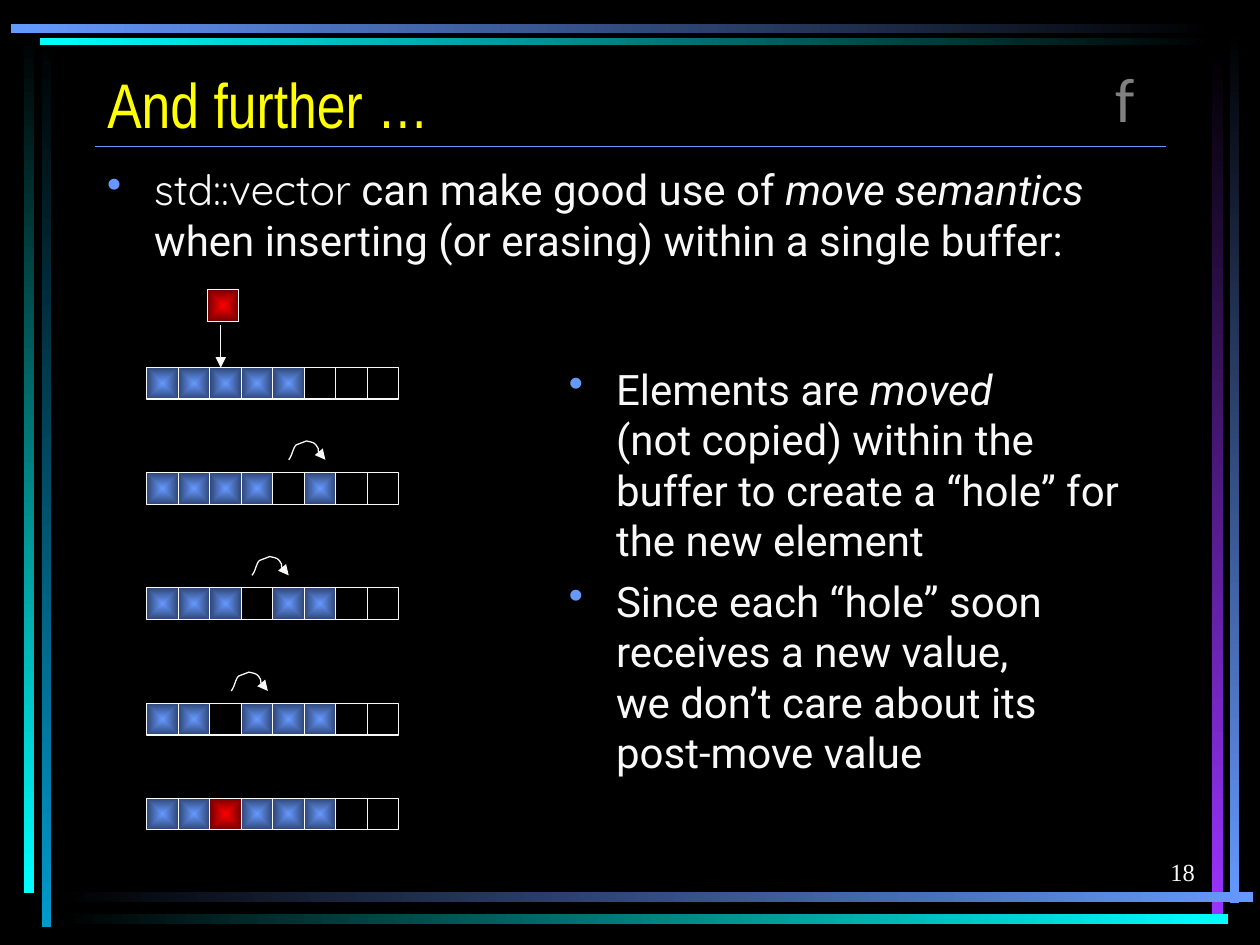
from lxml.etree import SubElement
from pptx import Presentation
from pptx.dml.color import RGBColor
from pptx.enum.shapes import MSO_CONNECTOR, MSO_SHAPE
from pptx.enum.text import MSO_ANCHOR as ANCHOR, MSO_AUTO_SIZE as AUTO_SIZE, PP_ALIGN as ALIGN
from pptx.oxml.ns import qn
from pptx.util import Cm, Pt

COLORS = {
    "black": "000000", "text": "F8F8F8", "title": "FFFF00", "mark": "808080",
    "blue": "6699FF", "navy": "2F4675", "red": "FF0000", "maroon": "750000",
    "cyan": "00FFFF", "teal": "0099CC", "purple": "9933FF",
}

# Gradient directions, counter-clockwise in degrees
RIGHTWARD, LEFTWARD, DOWNWARD = 0, 180, 270

# Frame bars: left, top, width, height, bright colour, direction of the bright end
FRAME_BARS = [
    (0.84, 0.71, 0.2, 17.98, "teal", DOWNWARD),
    (0.48, 0.64, 0.2, 17.37, "cyan", DOWNWARD),
    (24.79, 0.61, 0.18, 17.6, "blue", DOWNWARD),
    (24.43, 1.07, 0.23, 17.35, "purple", DOWNWARD),
    (1.14, 17.98, 24.13, 0.2, "blue", RIGHTWARD),
    (1.14, 18.42, 23.62, 0.2, "cyan", RIGHTWARD),
    (0.81, 0.76, 23.67, 0.15, "cyan", LEFTWARD),
    (0.22, 0.48, 24.28, 0.18, "blue", LEFTWARD),
]

# Buffer rows: top and cells (x = element, n = new element, . = empty)
BUFFER_LEFT, CELL = 2.96, 5.08 / 8
BUFFER_ROWS = [
    (7.41, "xxxxx..."),
    (9.53, "xxxx.x.."),
    (11.85, "xxx.xx.."),
    (14.18, "xx.xxx.."),
    (16.09, "xxnxxx.."),
]
CELL_FILLS = {"x": ("blue", "navy"), "n": ("red", "maroon"), ".": None}

# Hop arrow: start, then Bézier segments, relative to its top-left corner
HOPS = [(5.82, 8.89), (5.08, 11.22), (4.66, 13.55)]
HOP_START = (0, 0.38)
HOP_CURVES = [
    ((0.08, 0.28), (0.08, 0.15), (0.15, 0.08)),
    ((0.15, 0.08), (0.36, 0), (0.36, 0)),
    ((0.48, 0.03), (0.53, 0.03), (0.58, 0.13)),
    ((0.61, 0.15), (0.58, 0.2), (0.61, 0.23)),
    ((0.76, 0.38), (0.74, 0.2), (0.74, 0.38)),
]


def rgb(name):
    return RGBColor.from_string(COLORS[name])


def curve_points(start, curves, steps=8):
    """Points along a chain of cubic Bézier curves, without the start."""
    points = []
    for control_1, control_2, end in curves:
        for step in range(1, steps + 1):
            t = step / steps
            weights = ((1 - t) ** 3, 3 * t * (1 - t) ** 2, 3 * t * t * (1 - t), t ** 3)
            corners = (start, control_1, control_2, end)
            points.append(tuple(sum(w * c[axis] for w, c in zip(weights, corners))
                                for axis in (0, 1)))
        start = end
    return points


class SlideBuilder:
    def __init__(self, slide, line_width=0.75):
        self.slide = slide
        self.shapes = slide.shapes
        self.line_width = Pt(line_width)
        slide.background.fill.solid()
        slide.background.fill.fore_color.rgb = rgb("black")

    def style_line(self, shape, color="text", arrow=False):
        shape.line.color.rgb = rgb(color)
        shape.line.width = self.line_width
        if arrow:
            SubElement(shape.line._get_or_add_ln(), qn("a:tailEnd"), type="triangle")

    def style_font(self, font, name, size, color):
        font.name, font.size, font.color.rgb = name, Pt(size), rgb(color)

    def rectangle(self, left, top, width, height, colors=None, angle=None):
        """Rectangle with a linear gradient, or one from the centre without an angle."""
        rect = self.shapes.add_shape(MSO_SHAPE.RECTANGLE, Cm(left), Cm(top), Cm(width), Cm(height))
        rect.shadow.inherit = False
        if colors is None:
            rect.fill.background()
            return rect
        rect.fill.gradient()
        for stop, color in zip(rect.fill.gradient_stops, colors):
            stop.color.rgb = rgb(color)
        if angle is not None:
            rect.fill.gradient_angle = angle
        else:
            gradient = rect.fill._xPr.find(qn("a:gradFill"))
            gradient.remove(gradient.find(qn("a:lin")))
            center = SubElement(gradient, qn("a:path"), path="rect")
            SubElement(center, qn("a:fillToRect"), l="50000", t="50000", r="50000", b="50000")
        return rect

    def bar(self, left, top, width, height, color, angle):
        bar = self.rectangle(left, top, width, height, ("black", color), angle)
        bar.line.fill.background()

    def cell(self, left, top, kind):
        self.style_line(self.rectangle(left, top, CELL, CELL, CELL_FILLS[kind]))

    def line(self, start, end, color="text", arrow=False):
        line = self.shapes.add_connector(MSO_CONNECTOR.STRAIGHT, *map(Cm, start + end))
        self.style_line(line, color, arrow)
        SubElement(line._element.spPr, qn("a:effectLst"))

    def hop(self, left, top):
        def place(point):
            return Cm(left + point[0]), Cm(top + point[1])

        outline = self.shapes.build_freeform(*place(HOP_START))
        outline.add_line_segments(map(place, curve_points(HOP_START, HOP_CURVES)), close=False)
        hop = outline.convert_to_shape()
        hop.shadow.inherit = False
        hop.fill.background()
        self.style_line(hop, arrow=True)

    def title(self, text, left, top, width, height):
        title = self.shapes.title
        title.left, title.top, title.width, title.height = map(Cm, (left, top, width, height))
        frame = title.text_frame
        frame.text = text
        frame.auto_size = AUTO_SIZE.NONE
        frame.vertical_anchor = ANCHOR.BOTTOM
        frame.paragraphs[0].alignment = ALIGN.LEFT
        self.style_font(frame.paragraphs[0].runs[0].font, "Arial Narrow", 36, "title")

    def text_frame(self, left, top, width, height):
        frame = self.shapes.add_textbox(*map(Cm, (left, top, width, height))).text_frame
        frame.word_wrap = True
        return frame

    def label(self, text, box, font, size, color, align=ALIGN.LEFT, anchor=ANCHOR.TOP):
        frame = self.text_frame(*box)
        frame.text = text
        frame.vertical_anchor = anchor
        frame.paragraphs[0].alignment = align
        self.style_font(frame.paragraphs[0].runs[0].font, font, size, color)

    def bullets(self, items, *box):
        """Each item is a list of (text, style); style is "", "italic" or "code"."""
        frame = self.text_frame(*box)
        for index, pieces in enumerate(items):
            paragraph = frame.add_paragraph() if index else frame.paragraphs[0]
            properties = paragraph._p.get_or_add_pPr()
            properties.set("marL", str(Cm(0.95)))
            properties.set("indent", str(-Cm(0.95)))
            bullet_color = SubElement(properties, qn("a:buClr"))
            SubElement(bullet_color, qn("a:srgbClr"), val=COLORS["blue"])
            SubElement(properties, qn("a:buChar"), char="•")
            if index:
                paragraph.space_before = Pt(6)
            for text, style in pieces:
                for number, part in enumerate(text.split("\n")):
                    if number:
                        paragraph.add_line_break()
                    run = paragraph.add_run()
                    run.text = part
                    self.style_font(run.font, "Quicksand" if style == "code" else "Roboto", 24, "text")
                    run.font.italic = style == "italic"


def main():
    deck = Presentation()
    deck.slide_width, deck.slide_height = Cm(25.4), Cm(19.05)
    page = SlideBuilder(deck.slides.add_slide(deck.slide_layouts[5]))

    # Frame and heading
    for bar in FRAME_BARS:
        page.bar(*bar)
    page.line((1.91, 2.96), (23.5, 2.96), "blue")
    page.label("f", (22.23, 1.07, 1.91, 1.78), "Calibri", 36, "mark")
    page.title("And further …", 1.91, 1.27, 21.59, 1.7)

    # Statement
    page.bullets([[
        ("std::vector", "code"), (" can make good use of ", ""), ("move semantics", "italic"),
        (" when inserting (or erasing) within a single buffer:", ""),
    ]], 1.91, 3.18, 21.59, 2.29)

    # Insertion steps
    for top, cells in BUFFER_ROWS:
        for column, kind in enumerate(cells):
            page.cell(BUFFER_LEFT + column * CELL, top, kind)
    for left, top in HOPS:
        page.hop(left, top)
    page.cell(4.18, 5.84, "n")
    page.line((4.45, 6.56), (4.45, 7.41), arrow=True)

    # Explanation
    page.bullets([
        [("Elements are ", ""), ("moved", "italic"),
         ("\n(not copied) within the buffer to create a “hole” for the new element", "")],
        [("Since each “hole” soon receives a new value,\nwe don’t care about its post-move value", "")],
    ], 11.22, 7.2, 11.85, 8.61)

    # Slide number
    page.label("18", (19.05, 16.72, 5.29, 1.27), "Times New Roman", 14, "text",
               ALIGN.RIGHT, ANCHOR.BOTTOM)

    deck.save("out.pptx")


if __name__ == "__main__":
    main()
